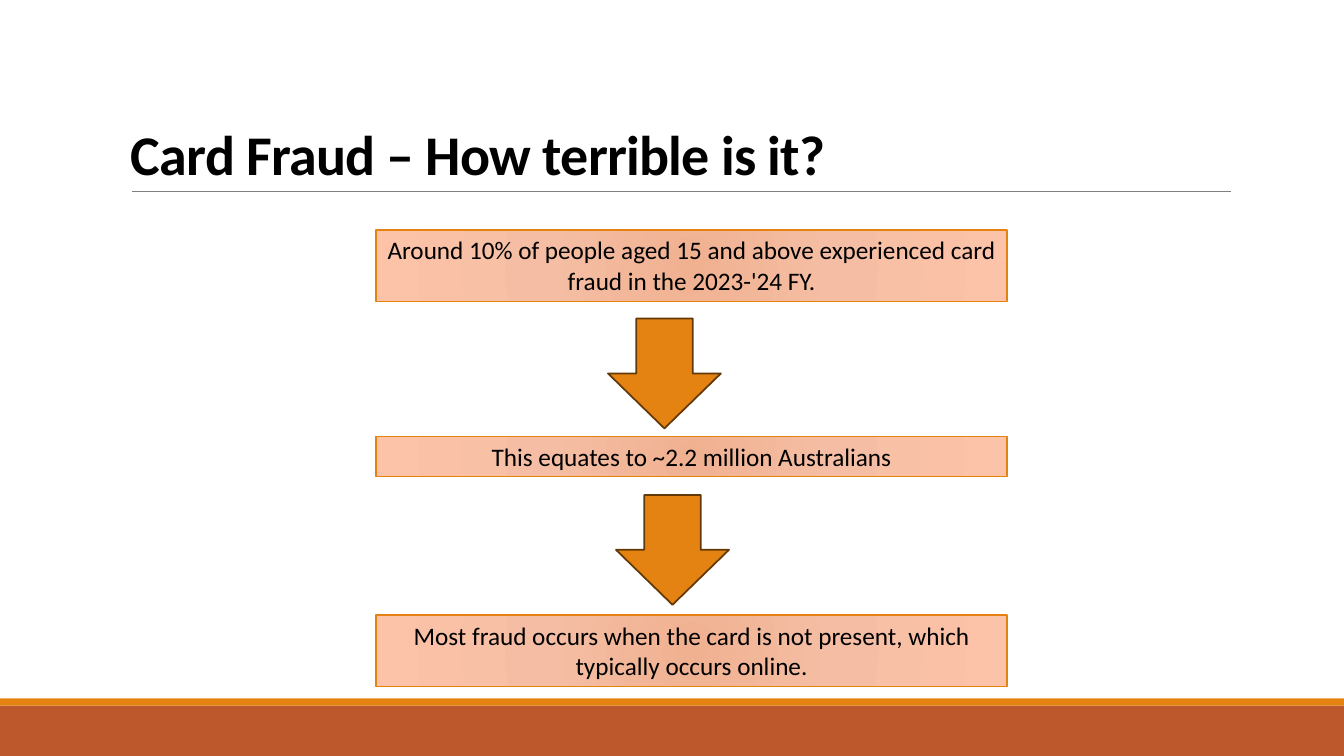
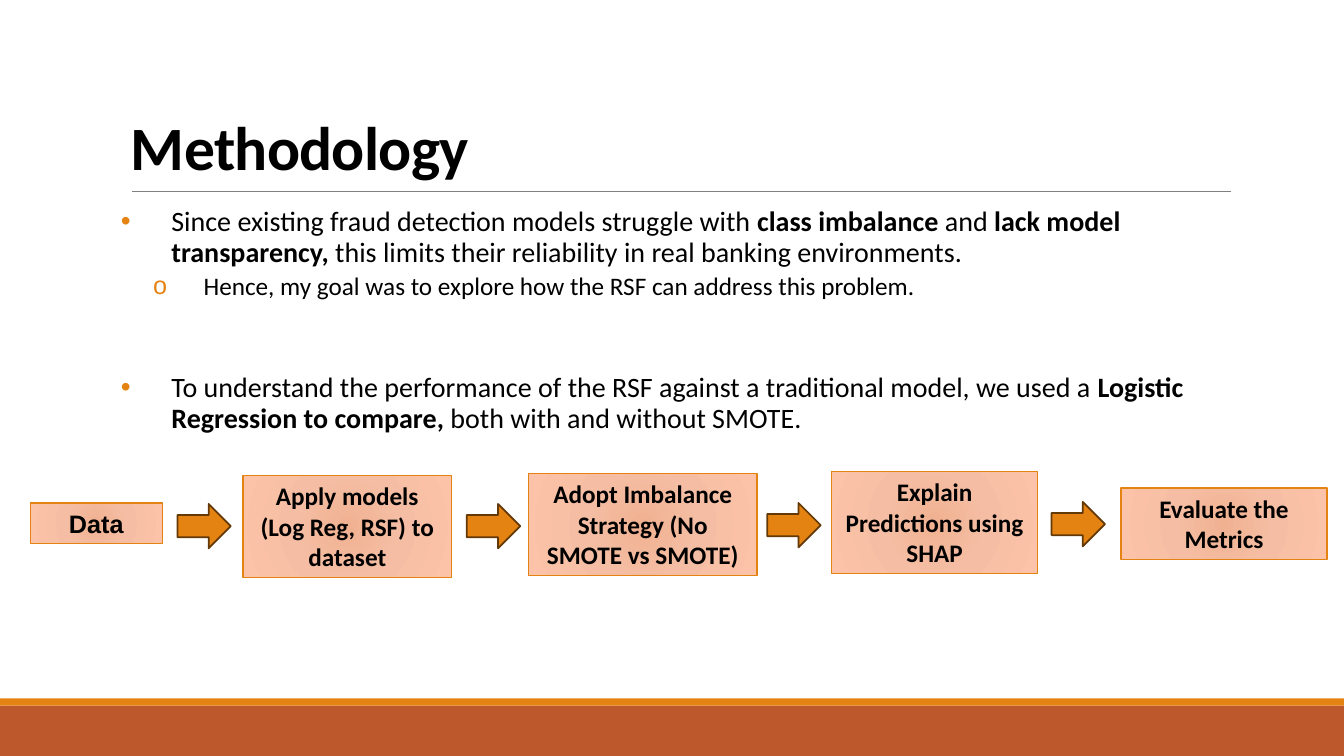
from collections import namedtuple

from pptx import Presentation
from pptx.dml.color import RGBColor
from pptx.enum.shapes import MSO_CONNECTOR as Connector, MSO_SHAPE as Shape
from pptx.enum.text import MSO_ANCHOR as Anchor, PP_ALIGN as Align
from pptx.oxml import parse_xml
from pptx.oxml.ns import nsdecls, qn
from pptx.util import Inches, Pt

COLORS = {
    "band": "BD582C",
    "accent": "E48312",
    "arrow_edge": "643908",
    "rule": "808080",
    "text": "000000",
}
CARD_STOPS = {0: "F0B191", 45: "F5BEA4", 100: "FDC3A8"}
FONT = "Calibri"
PAGE_WIDTH, PAGE_HEIGHT = 13.33, 7.5

Box = namedtuple("Box", "left top width height")


def color(name):
    return RGBColor.from_string(COLORS[name])


def style_run(run, size, bold=False, font=FONT):
    run.font.name = font
    run.font.size = Pt(size)
    run.font.bold = bold
    run.font.color.rgb = color("text")


def add_block(page, kind, box, fill, edge=None, edge_width=1):
    block = page.shapes.add_shape(kind, *map(Inches, box))
    block.shadow.inherit = False
    block.fill.solid()
    block.fill.fore_color.rgb = color(fill)
    if edge:
        block.line.color.rgb = color(edge)
        block.line.width = Pt(edge_width)
    else:
        block.line.fill.background()
    return block


def add_arrow(page, kind, box):
    add_block(page, kind, box, "accent", "arrow_edge", 1.25)


def add_card(page, box, text, bold=False, font=FONT):
    """Rectangle with a radial gradient and centred text."""
    card = add_block(page, Shape.RECTANGLE, box, "accent", "accent")
    stops = "".join(
        f'<a:gs pos="{place * 1000}"><a:srgbClr val="{value}"/></a:gs>'
        for place, value in CARD_STOPS.items())
    gradient = parse_xml(
        f'<a:gradFill {nsdecls("a")} rotWithShape="1"><a:gsLst>{stops}</a:gsLst>'
        '<a:path path="circle"><a:fillToRect l="100000" t="100000" '
        'r="100000" b="100000"/></a:path></a:gradFill>')
    properties = card._element.spPr
    properties.replace(properties.find(qn("a:solidFill")), gradient)

    frame = card.text_frame
    frame.word_wrap = True
    frame.vertical_anchor = Anchor.TOP
    frame.text = text
    para = frame.paragraphs[0]
    para.alignment = Align.CENTER
    style_run(para.runs[0], 18, bold, font)


def add_page(deck, title, size, title_box):
    """Blank page with the shared bands, title rule and title."""
    page = deck.slides.add_slide(deck.slide_layouts[6])
    add_block(page, Shape.RECTANGLE, Box(0, 7, PAGE_WIDTH, 0.5), "band")
    add_block(page, Shape.RECTANGLE, Box(0, 6.93, PAGE_WIDTH, 0.07), "accent")

    rule = page.shapes.add_connector(
        Connector.STRAIGHT, *map(Inches, (1.31, 1.9, 12.21, 1.9)))
    rule.line.color.rgb = color("rule")
    rule.line.width = Pt(0.5)
    rule._element.spPr.append(parse_xml(f'<a:effectLst {nsdecls("a")}/>'))

    frame = page.shapes.add_textbox(*map(Inches, title_box)).text_frame
    frame.word_wrap = True
    frame.vertical_anchor = Anchor.BOTTOM
    frame.text = title
    para = frame.paragraphs[0]
    para.line_spacing = 0.85
    style_run(para.runs[0], size, bold=True)
    para.runs[0]._r.get_or_add_rPr().set("spc", "-50")
    return page


def set_bullet(para, symbol, indent):
    properties = para._p.get_or_add_pPr()
    properties.set("marL", str(Inches(indent)))
    properties.set("indent", str(Inches(-0.5)))
    for xml in (
            f'<a:buClr {nsdecls("a")}><a:srgbClr val="{COLORS["accent"]}"/></a:buClr>',
            f'<a:buFont {nsdecls("a")} typeface="Arial"/>',
            f'<a:buChar {nsdecls("a")} char="{symbol}"/>'):
        properties.append(parse_xml(xml))


def add_bullets(page, box):
    """Bulleted text; each span is a text and whether it is bold."""
    # symbol, indent, size, space before, space after, spans
    points = [
        ("•", 0.5, 20, 12, 2, [
            ("Since existing fraud detection models struggle with ", False),
            ("class imbalance", True),
            (" and ", False),
            ("lack model transparency, ", True),
            ("this limits their reliability in real banking environments.", False)]),
        ("o", 0.82, 18, 2, 4, [
            ("Hence, my goal was to explore how the RSF can address this problem.",
             False)]),
        ("•", 0.5, 20, 48, 2, [
            ("To understand the performance of the RSF against a traditional model, "
             "we used a ", False),
            ("Logistic Regression to compare,", True),
            (" both with and without SMOTE.", False)]),
    ]
    frame = page.shapes.add_textbox(*map(Inches, box)).text_frame
    frame.word_wrap = True
    frame.margin_left = frame.margin_right = 0
    for index, (symbol, indent, size, before, after, spans) in enumerate(points):
        para = frame.add_paragraph() if index else frame.paragraphs[0]
        para.line_spacing = 0.9
        para.space_before = Pt(before)
        para.space_after = Pt(after)
        set_bullet(para, symbol, indent)
        for text, bold in spans:
            span = para.add_run()
            span.text = text
            style_run(span, size, bold)


def add_fact_column(page, box):
    """Facts from top to bottom, with down arrows between them."""
    # top offset, height, text
    facts = [
        (0, 0.71, "Around 10% of people aged 15 and above experienced card fraud "
                  "in the 2023-'24 FY."),
        (2.05, 0.4, "This equates to ~2.2 million Australians"),
        (3.82, 0.71, "Most fraud occurs when the card is not present, "
                     "which typically occurs online."),
    ]
    for top, height, text in facts:
        add_card(page, Box(box.left, box.top + top, box.width, height), text)
    for left, top in ((2.3, 0.88), (2.38, 2.63)):
        add_arrow(page, Shape.DOWN_ARROW,
                  Box(box.left + left, box.top + top, 1.12, 1.09))


def add_step_row(page, box):
    """Steps from left to right, with right arrows between them."""
    # left offset, top offset, width, height, text, font
    steps = [
        (0, 0.31, 1.31, 0.4, "Data", "Arial"),
        (2.11, 0.04, 2.07, 1.01, "Apply models (Log Reg, RSF) to dataset", FONT),
        (4.94, 0.02, 2.27, 1.01, "Adopt Imbalance Strategy (No SMOTE vs SMOTE)", FONT),
        (7.95, 0, 2.04, 1.01, "Explain Predictions using SHAP", FONT),
        (10.82, 0.16, 2.04, 0.71, "Evaluate the Metrics", FONT),
    ]
    for left, top, width, height, text, font in steps:
        add_card(page, Box(box.left + left, box.top + top, width, height),
                 text, True, font)
    for left, top in ((1.46, 0.32), (4.33, 0.32), (7.31, 0.31), (10.13, 0.3)):
        add_arrow(page, Shape.RIGHT_ARROW,
                  Box(box.left + left, box.top + top, 0.53, 0.44))


def main():
    deck = Presentation()
    deck.slide_width = Inches(PAGE_WIDTH)
    deck.slide_height = Inches(PAGE_HEIGHT)

    # Extent of card fraud
    page = add_page(deck, "Card Fraud – How terrible is it?", 40,
                    Box(1.2, 0.31, 11, 1.59))
    add_fact_column(page, Box(3.73, 2.28, 6.26, 4.53))

    # Methodology
    page = add_page(deck, "Methodology", 44, Box(1.2, 0.31, 11.51, 1.56))
    add_bullets(page, Box(1.2, 2.01, 11, 4.41))
    add_step_row(page, Box(0.3, 4.68, 12.86, 1.05))

    deck.save("out.pptx")


if __name__ == "__main__":
    main()
